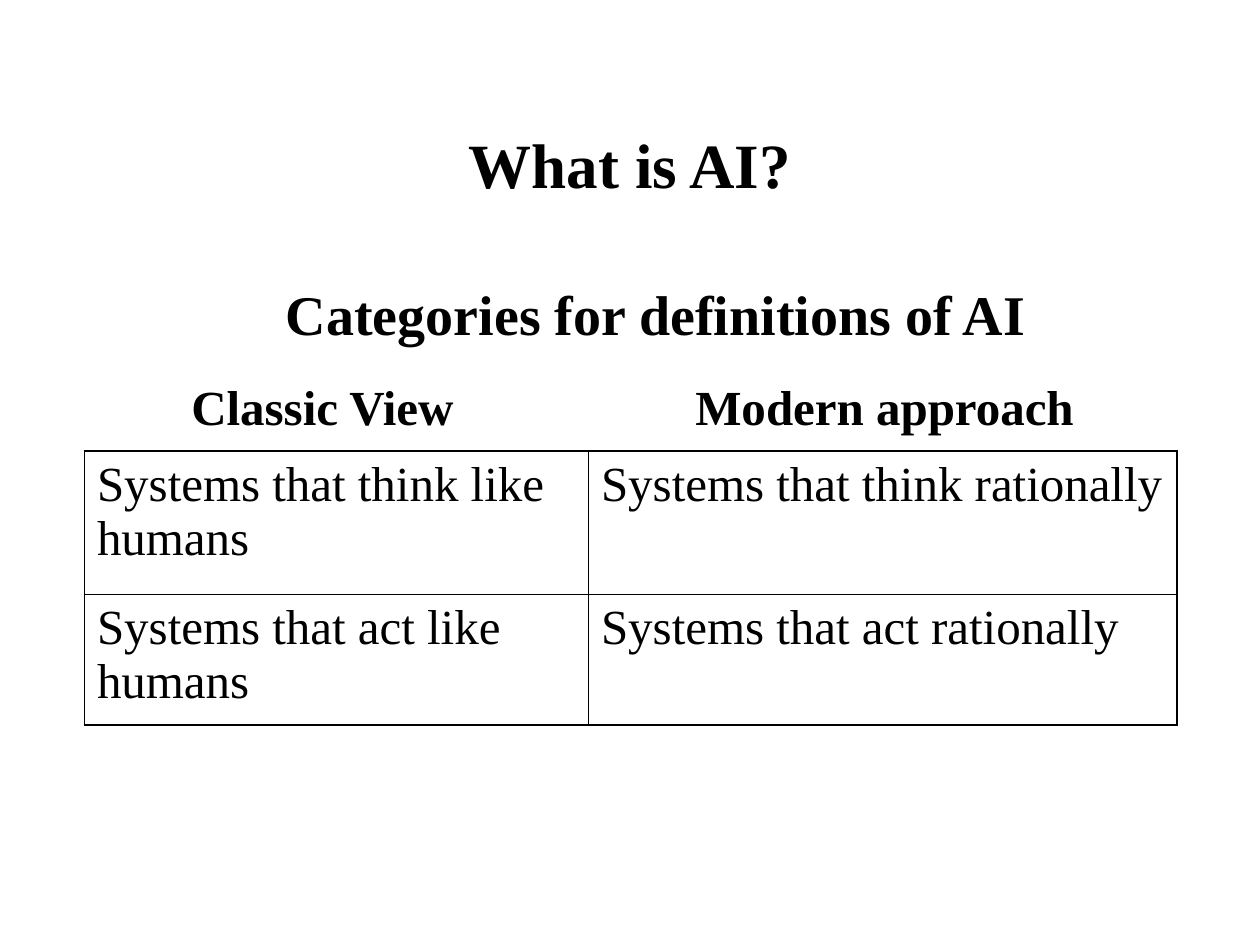
from lxml.etree import SubElement
from pptx import Presentation
from pptx.dml.color import RGBColor
from pptx.enum.text import MSO_ANCHOR, MSO_AUTO_SIZE, PP_ALIGN
from pptx.oxml.ns import qn
from pptx.util import Inches, Pt

COLORS = {"ink": "000000"}
FONT = "Times New Roman"
OUTER_LINE, INNER_LINE = Pt(1.08), Pt(0.45)
COLUMN_WIDTHS = [4, 4.67]
ROW_HEIGHTS = [1.14, 1.03]
DEFINITIONS = [
    ["Systems that think like humans", "Systems that think rationally"],
    ["Systems that act like humans", "Systems that act rationally"],
]


def write(text_frame, text, size, bold=False):
    text_frame.text = text
    paragraph = text_frame.paragraphs[0]
    font = paragraph.runs[0].font
    font.name, font.size, font.bold = FONT, Pt(size), bold
    font.color.rgb = RGBColor.from_string(COLORS["ink"])
    return paragraph


def add_title(slide, left, top, width, height):
    title = slide.shapes.add_textbox(
        Inches(left), Inches(top), Inches(width), Inches(height))
    title.text_frame.word_wrap = True
    title.text_frame.vertical_anchor = MSO_ANCHOR.MIDDLE
    write(title.text_frame, "What is AI?", 36, True).alignment = PP_ALIGN.CENTER


def add_heading(slide, text, size, left, top, width, height):
    heading = slide.shapes.add_textbox(
        Inches(left), Inches(top), Inches(width), Inches(height))
    heading.text_frame.word_wrap = False
    heading.text_frame.auto_size = MSO_AUTO_SIZE.SHAPE_TO_FIT_TEXT
    write(heading.text_frame, text, size, True)


def set_border(cell, side, width):
    line = SubElement(cell._tc.get_or_add_tcPr(), qn(f"a:ln{side}"), w=str(width))
    fill = SubElement(line, qn("a:solidFill"))
    SubElement(fill, qn("a:srgbClr"), val=COLORS["ink"])


def add_definitions(slide, left, top, width, height):
    rows, columns = len(ROW_HEIGHTS), len(COLUMN_WIDTHS)
    table = slide.shapes.add_table(
        rows, columns, Inches(left), Inches(top), Inches(width), Inches(height)).table
    table.first_row = table.horz_banding = False
    for column, column_width in zip(table.columns, COLUMN_WIDTHS):
        column.width = Inches(column_width)
    for row, row_height in zip(table.rows, ROW_HEIGHTS):
        row.height = Inches(row_height)

    for r, definitions in enumerate(DEFINITIONS):
        for c, definition in enumerate(definitions):
            cell = table.cell(r, c)
            write(cell.text_frame, definition, 28)
            on_edge = {"L": c == 0, "R": c == columns - 1,
                       "T": r == 0, "B": r == rows - 1}
            for side, outer in on_edge.items():
                set_border(cell, side, OUTER_LINE if outer else INNER_LINE)
            cell.fill.background()


def main():
    presentation = Presentation()
    presentation.slide_width, presentation.slide_height = Inches(10), Inches(7.5)
    slide = presentation.slides.add_slide(presentation.slide_layouts[6])
    add_title(slide, 0.75, 0.67, 8.5, 1.25)
    add_definitions(slide, 0.67, 3.58, sum(COLUMN_WIDTHS), sum(ROW_HEIGHTS))
    add_heading(slide, "Categories for definitions of AI", 32, 2.17, 2.17, 6.11, 0.64)
    add_heading(slide, "Modern approach", 28, 5.42, 2.94, 3.21, 0.57)
    add_heading(slide, "Classic View", 28, 1.42, 2.94, 2.3, 0.57)
    presentation.save("out.pptx")


if __name__ == "__main__":
    main()
